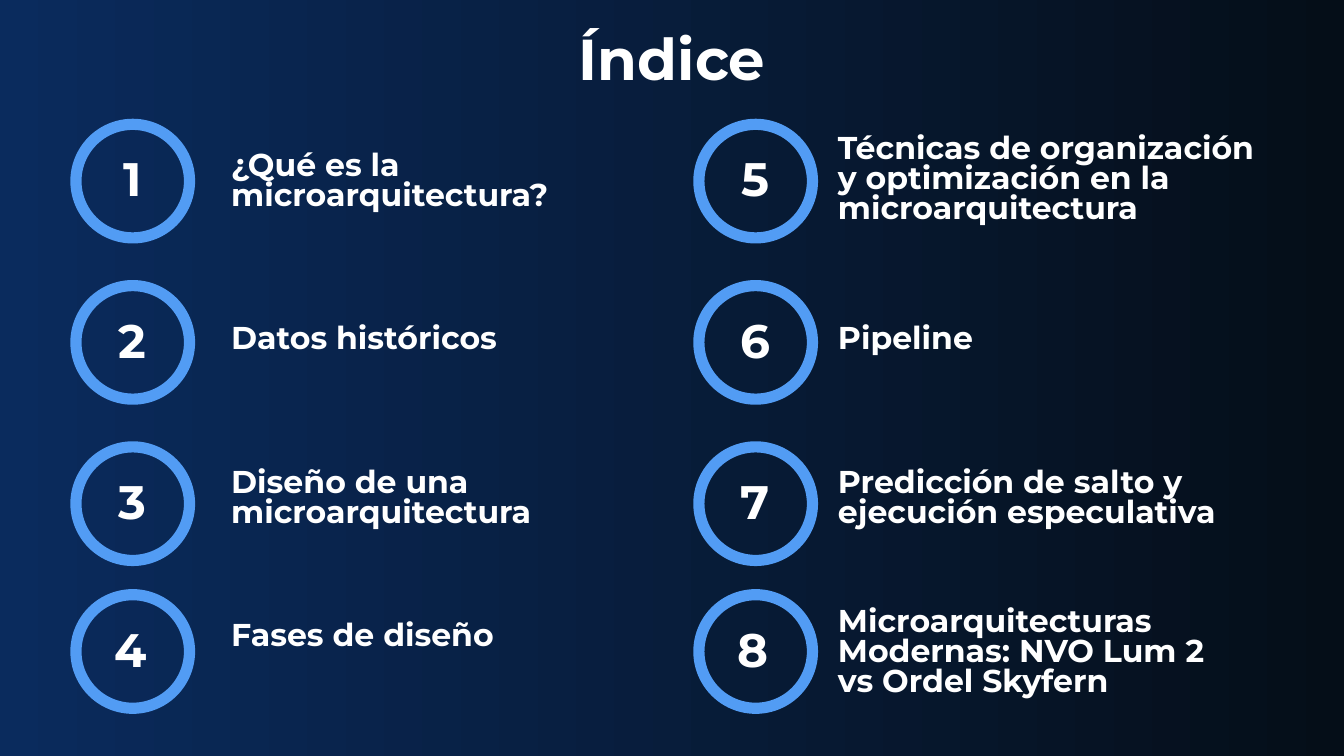
from dataclasses import dataclass

from pptx import Presentation
from pptx.dml.color import RGBColor
from pptx.enum.shapes import MSO_SHAPE
from pptx.enum.text import MSO_AUTO_SIZE, PP_ALIGN
from pptx.util import Emu, Pt

OVAL = MSO_SHAPE.OVAL
GROW = MSO_AUTO_SIZE.SHAPE_TO_FIT_TEXT
LEFT, CENTER = PP_ALIGN.LEFT, PP_ALIGN.CENTER

EMU_PER_PX = 9144  # 100 px to the inch
PAGE_WIDTH, PAGE_HEIGHT = 2000, 1125
FONT = "Montserrat"
COLORS = {
    "blue": "0A2B5D",
    "night": "050E18",
    "ring": "529CF4",
    "text": "FFFFFF",
}

RING_SIZE = 169
RING_TOPS = (185, 425, 665, 885)
RING_LEFTS = (113, 1040)
LABEL_LEFTS = (344, 1247)
NUMBER_SHIFTS = (0, 0, 0, -3)
LABEL_HEIGHTS = {1: 48, 2: 93, 3: 137}


@dataclass(frozen=True)
class TextStyle:
    size: float
    spacing: float
    align: PP_ALIGN


@dataclass(frozen=True)
class Topic:
    label: str
    top: int
    width: int
    lines: int


TITLE = TextStyle(61.8, 59.3, CENTER)
NUMBER = TextStyle(50.3, 48.3, CENTER)
LABEL = TextStyle(33.8, 32.5, LEFT)

TOPICS = (
    Topic("¿Qué es la microarquitectura?", 227, 485, 2),
    Topic("Datos históricos", 484, 485, 1),
    Topic("Diseño de una microarquitectura", 698, 485, 2),
    Topic("Fases de diseño", 927, 485, 1),
    Topic("Técnicas de organización y optimización en la microarquitectura", 201, 640, 3),
    Topic("Pipeline", 484, 485, 1),
    Topic("Predicción de salto y ejecución especulativa", 698, 610, 2),
    Topic("Microarquitecturas Modernas: NVO Lum 2 vs Ordel Skyfern", 905, 610, 3),
)


def px(length: int) -> Emu:
    return Emu(length * EMU_PER_PX)


def color(name: str) -> RGBColor:
    return RGBColor.from_string(COLORS[name])


def paint_background(page) -> None:
    fill = page.background.fill
    fill.gradient()
    fill.gradient_angle = 0
    for stop, name in zip(fill.gradient_stops, ("blue", "night")):
        stop.color.rgb = color(name)


def add_text(page, text: str, left: int, top: int, width: int, height: int,
             style: TextStyle) -> None:
    box = page.shapes.add_textbox(px(left), px(top), px(width), px(height))
    frame = box.text_frame
    frame.margin_left = frame.margin_right = 0
    frame.margin_top = frame.margin_bottom = 0
    frame.word_wrap = True
    frame.auto_size = GROW
    para = frame.paragraphs[0]
    para.text = text
    para.alignment = style.align
    para.line_spacing = Pt(style.spacing)
    para.font.name = FONT
    para.font.size = Pt(style.size)
    para.font.bold = True
    para.font.color.rgb = color("text")


def add_ring(page, left: int, top: int) -> None:
    ring = page.shapes.add_shape(OVAL, px(left), px(top), px(RING_SIZE), px(RING_SIZE))
    ring.shadow.inherit = False
    ring.fill.background()
    ring.line.color.rgb = color("ring")
    ring.line.width = Pt(12)


def add_topic(page, index: int, topic: Topic) -> None:
    column, row = divmod(index, len(RING_TOPS))
    left, top = RING_LEFTS[column], RING_TOPS[row]
    add_ring(page, left, top)
    add_text(page, str(index + 1), left + 40 + NUMBER_SHIFTS[row], top + 55, 88, 71, NUMBER)
    add_text(page, topic.label, LABEL_LEFTS[column], topic.top, topic.width,
             LABEL_HEIGHTS[topic.lines], LABEL)


def main() -> None:
    deck = Presentation()
    deck.slide_width, deck.slide_height = px(PAGE_WIDTH), px(PAGE_HEIGHT)
    page = deck.slides.add_slide(deck.slide_layouts[6])
    paint_background(page)

    # Heading
    add_text(page, "Índice", 517, 55, 966, 88, TITLE)

    # Two columns of numbered topics
    for index, topic in enumerate(TOPICS):
        add_topic(page, index, topic)

    deck.save("out.pptx")


if __name__ == "__main__":
    main()
